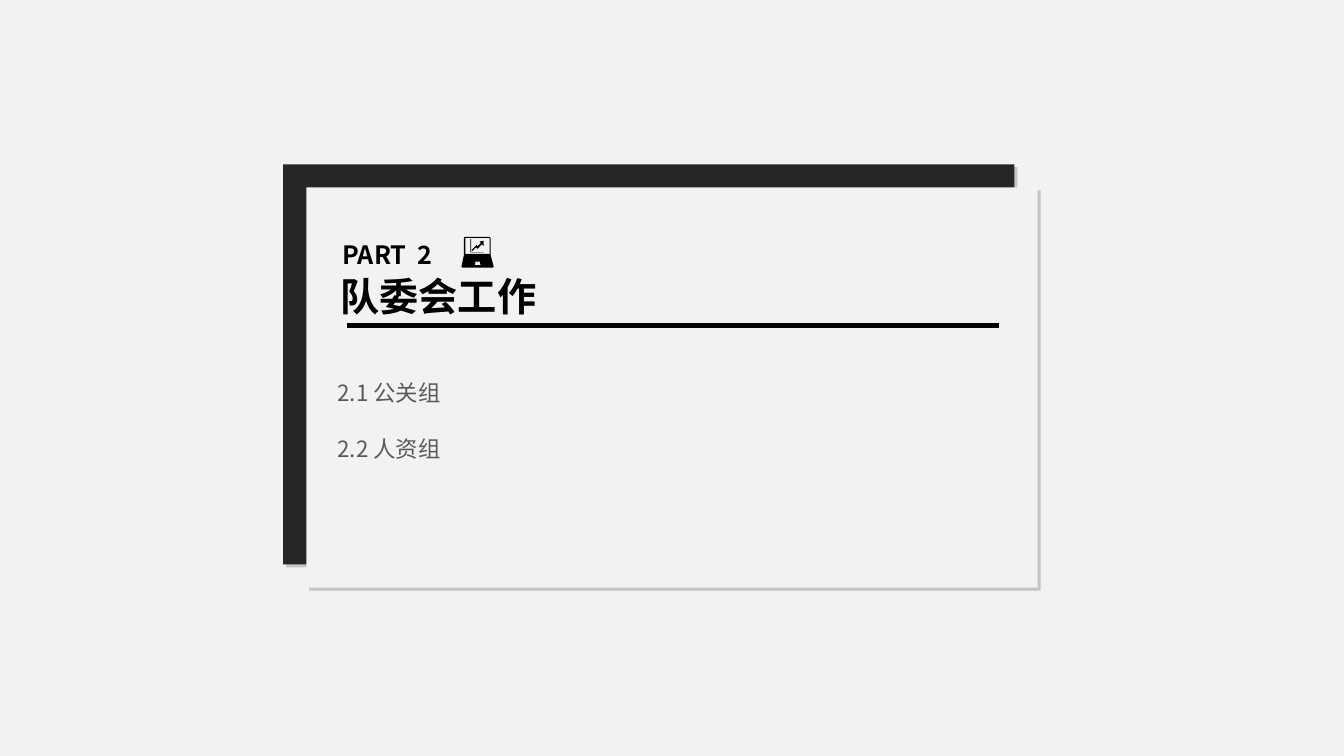
from lxml import etree
from pptx import Presentation
from pptx import util as u
from pptx.dml.color import RGBColor
from pptx.enum import shapes, text
from pptx.oxml import ns

FONT = "Noto Sans CJK SC"
BLACK, DARK, PALE, GREY = "000000", "262626", "F2F2F2", "595959"
LAPTOP_CONTOURS = [
    [(3, 0), (28, 0), (29, 1), (29, 18), (32, 29.5), (31, 30.5), (1, 30.5),
     (0, 29.5), (2.5, 18), (2.5, 1)],
    [(4, 1), (4, 17), (28, 17), (28, 1)],
    [(9, 2), (9.7, 2), (9.7, 15), (22, 15), (22, 15.5), (9, 15.5)],
    [(22, 4), (22, 9), (20.3, 7.3), (16, 12), (14.7, 10.3), (11, 14),
     (10.3, 13), (15, 8), (16, 9.3), (19.3, 6), (18, 4.5)],
    [(14, 24.5), (13.2, 28), (19, 28), (18.2, 24.5)],
]


def color(value):
    """Turn a hex string into a colour."""
    return RGBColor.from_string(value)


def paint(shape, fill):
    """Give a shape a plain fill without line or shadow."""
    shape.shadow.inherit = False
    shape.fill.solid()
    shape.fill.fore_color.rgb = color(fill)
    shape.line.fill.background()


def add_panel(page, box, fill):
    """Draw one rectangle with a hard shadow at its lower right."""
    panel = page.shapes.add_shape(shapes.MSO_SHAPE.RECTANGLE, *map(u.Inches, box))
    paint(panel, fill)
    effects = panel.element.spPr.find(ns.qn("a:effectLst"))
    shadow = etree.SubElement(effects, ns.qn("a:outerShdw"), blurRad="0",
                              dist=str(u.Pt(3)), dir="2700000", algn="tl", rotWithShape="0")
    tint = etree.SubElement(shadow, ns.qn("a:srgbClr"), val="808080")
    etree.SubElement(tint, ns.qn("a:alpha"), val="40000")


def add_laptop(page, left, top):
    """Draw the laptop icon from its contours in hundredths of an inch."""
    contours = [[(u.Inches(left + x / 100), u.Inches(top + y / 100)) for x, y in contour]
                for contour in LAPTOP_CONTOURS]
    builder = page.shapes.build_freeform(*contours[0][0])
    for index, (start, *rest) in enumerate(contours):
        if index:
            builder.move_to(*start)
        builder.add_line_segments(rest, close=True)
    paint(builder.convert_to_shape(), BLACK)


def write(shape, box, lines, gap=0, **style):
    """Place a text shape in front and fill it with evenly spaced lines."""
    shape.element.getparent().append(shape.element)
    for name, value in zip(("left", "top", "width", "height"), box):
        setattr(shape, name, u.Inches(value))
    frame = shape.text_frame
    settings = dict.fromkeys(("margin_left", "margin_top", "margin_right", "margin_bottom"),
                             u.Inches(0.05))
    settings |= {"word_wrap": True, "auto_size": text.MSO_AUTO_SIZE.NONE,
                 "vertical_anchor": text.MSO_ANCHOR.TOP}
    for name, value in settings.items():
        setattr(frame, name, value)
    for index, line in enumerate(lines):
        para = frame.add_paragraph() if index else frame.paragraphs[0]
        properties = para._p.get_or_add_pPr()
        properties.set("marL", "0")
        properties.set("indent", "0")
        etree.SubElement(properties, ns.qn("a:buNone"))
        para.alignment = text.PP_ALIGN.LEFT
        para.space_before = u.Pt(gap if index else 0)
        span = para.add_run()
        span.text = line
        add_font(span, **style)


def add_font(span, size, fill, bold=False):
    """Format a run for both Latin and Chinese characters."""
    for name, value in {"name": FONT, "size": u.Pt(size), "bold": bold}.items():
        setattr(span.font, name, value)
    span.font.color.rgb = color(fill)
    latin = span.font._element.find(ns.qn("a:latin"))
    latin.addnext(latin.makeelement(ns.qn("a:ea"), {"typeface": FONT}))


def add_frame(page, left, top, width, height):
    """Draw the dark panel and the pale panel offset over it."""
    add_panel(page, (left, top, width, height), DARK)
    add_panel(page, (left + 0.23, top + 0.23, width, height), PALE)


def add_heading(page, left, top, width):
    """Write the part number and title with the icon and the rule."""
    add_laptop(page, left + 1.25, top + 0.02)
    write(page.shapes.title, (left, top + 0.32, 2.4, 0.57), ["队委会工作"],
          size=28, fill=BLACK, bold=True)
    label = page.shapes.add_textbox(0, 0, 0, 0)
    write(label, (left + 0.02, top, 1.08, 0.4), ["PART  2"], size=18, fill=BLACK, bold=True)
    start, level = left + 0.11, top + 0.9
    rule = page.shapes.add_connector(shapes.MSO_CONNECTOR.STRAIGHT,
                                     *map(u.Inches, (start, level, start + width, level)))
    rule.line.color.rgb = color(BLACK)
    rule.line.width = u.Pt(3)
    etree.SubElement(rule.element.spPr, ns.qn("a:effectLst"))


def add_section_page(deck):
    """Build the section page with its frame, heading and list."""
    page = deck.slides.add_slide(deck.slide_layouts[1])
    page.background.fill.solid()
    page.background.fill.fore_color.rgb = color(PALE)
    add_frame(page, 2.81, 1.63, 7.26, 3.97)
    add_heading(page, 3.33, 2.33, 6.48)
    write(page.placeholders[1], (3.3, 3.71, 6.62, 0.98), ["2.1 公关组", "2.2 人资组"],
          gap=21, size=16, fill=GREY)


def main():
    """Create the deck and save it."""
    deck = Presentation()
    deck.slide_width, deck.slide_height = u.Inches(13.34), u.Inches(7.5)
    add_section_page(deck)
    deck.save("out.pptx")


if __name__ == "__main__":
    main()
